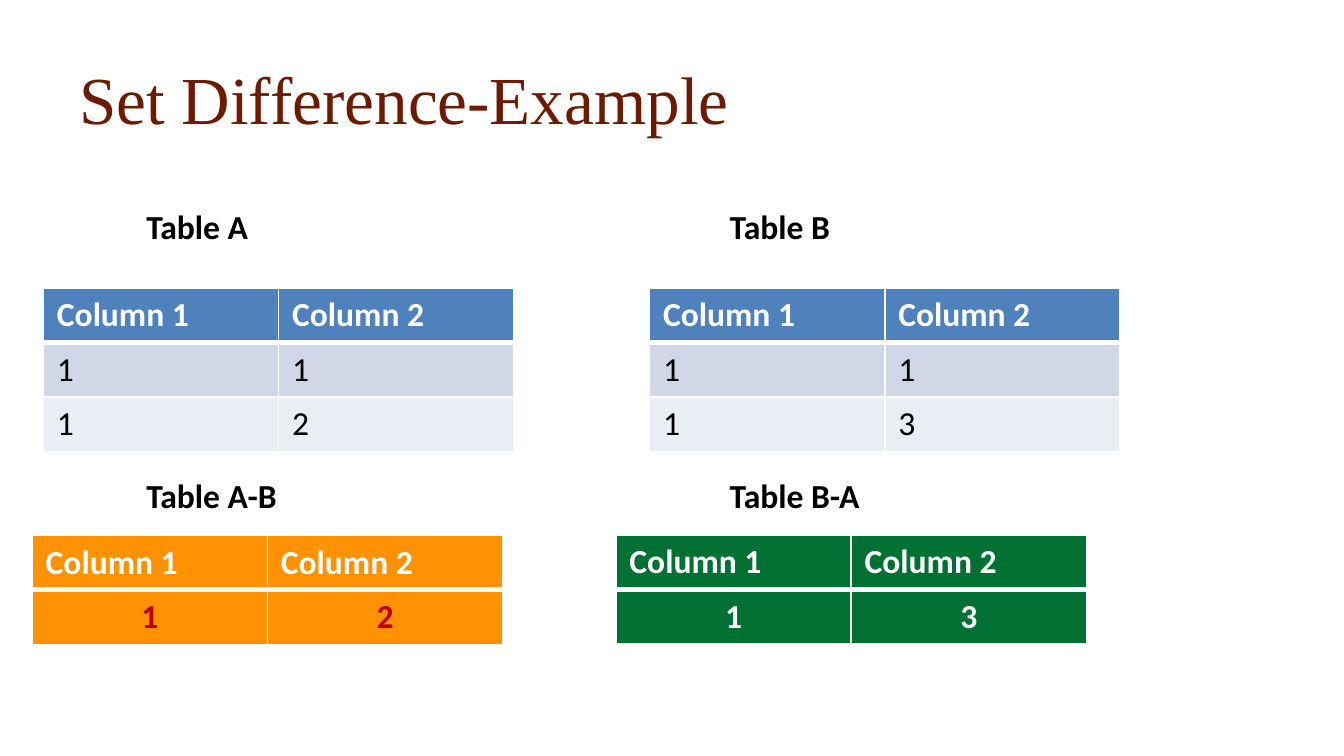
from lxml.etree import SubElement
from pptx import Presentation
from pptx.dml.color import RGBColor
from pptx.enum.text import MSO_ANCHOR, MSO_AUTO_SIZE, PP_ALIGN
from pptx.oxml.ns import qn
from pptx.util import Pt

WHITE = RGBColor(0xFF, 0xFF, 0xFF)
BLACK = RGBColor(0, 0, 0)
BROWN = RGBColor(0x6C, 0x1A, 0x00)
BLUE = RGBColor(0x4F, 0x81, 0xBD)
BAND_DARK = RGBColor(0xD0, 0xD8, 0xE8)
BAND_LIGHT = RGBColor(0xE9, 0xED, 0xF4)
ORANGE = RGBColor(0xFE, 0x92, 0x02)
RED = RGBColor(0xC0, 0, 0)
GREEN = RGBColor(0x00, 0x70, 0x33)

HEADINGS = ("Column 1", "Column 2")
COLUMN_WIDTH = 126
ROW_HEIGHT = 29.2
CAPTION_HEIGHT = 29


def write(frame, text, size=18, font="Calibri", color=BLACK, bold=False,
          align=PP_ALIGN.LEFT):
    para = frame.paragraphs[0]
    para.alignment = align
    span = para.add_run()
    span.text = text
    span.font.size = Pt(size)
    span.font.name = font
    span.font.bold = bold
    span.font.color.rgb = color


def set_borders(cell, **widths):
    """Draw white borders; widths maps L, R, T and B to points."""
    properties = cell._tc.get_or_add_tcPr()
    for index, side in enumerate("LRTB"):
        line = SubElement(properties, qn(f"a:ln{side}"), w=str(Pt(widths[side])))
        fill = SubElement(line, qn("a:solidFill"))
        SubElement(fill, qn("a:srgbClr"), val=str(WHITE))
        properties.insert(index, line)


def add_title(page, text, left, top, width, height):
    title = page.shapes.title
    title.left, title.top = Pt(left), Pt(top)
    title.width, title.height = Pt(width), Pt(height)
    title.text_frame.vertical_anchor = MSO_ANCHOR.MIDDLE
    write(title.text_frame, text, size=36, font="Times New Roman", color=BROWN)


def add_caption(page, text, left, top, width):
    box = page.shapes.add_textbox(Pt(left), Pt(top), Pt(width), Pt(CAPTION_HEIGHT))
    box.text_frame.word_wrap = False
    box.text_frame.auto_size = MSO_AUTO_SIZE.SHAPE_TO_FIT_TEXT
    write(box.text_frame, text, bold=True)


def add_relation(page, left, top, rows, header_fill, body_fills, **body_format):
    """Add a table with the shared headings; body_format styles its values."""
    count = len(rows) + 1
    frame = page.shapes.add_table(
        count, len(HEADINGS), Pt(left), Pt(top),
        Pt(COLUMN_WIDTH * len(HEADINGS)), Pt(ROW_HEIGHT * count))
    table = frame.table
    for column in table.columns:
        column.width = Pt(COLUMN_WIDTH)
    fills = (header_fill, *body_fills)
    for r, (values, fill) in enumerate(zip((HEADINGS, *rows), fills)):
        table.rows[r].height = Pt(ROW_HEIGHT)
        text_format = body_format if r else {"color": WHITE, "bold": True}
        for c, value in enumerate(values):
            cell = table.cell(r, c)
            cell.fill.solid()
            cell.fill.fore_color.rgb = fill
            write(cell.text_frame, value, **text_format)
            set_borders(cell, L=1, R=1, T=3 if r == 1 else 1, B=1 if r else 3)


def build_slide(deck):
    page = deck.slides.add_slide(deck.slide_layouts[5])
    add_title(page, "Set Difference-Example", 35.3, 22.3, 649.4, 60.5)

    captions = (
        ("Table A", 71.3, 106.6, 73.4), ("Table B", 383.8, 106.6, 72.7),
        ("Table A-B", 71.3, 250.6, 89.3), ("Table B-A", 383.8, 250.6, 85),
    )
    for caption in captions:
        add_caption(page, *caption)

    bands = (BAND_DARK, BAND_LIGHT)
    add_relation(page, 23.3, 154.4, (("1", "1"), ("1", "2")), BLUE, bands)
    add_relation(page, 348, 154.4, (("1", "1"), ("1", "3")), BLUE, bands)

    result = {"bold": True, "align": PP_ALIGN.CENTER}
    add_relation(page, 17.3, 286.8, (("1", "2"),), ORANGE, (ORANGE,),
                 color=RED, **result)
    add_relation(page, 330, 286.6, (("1", "3"),), GREEN, (GREEN,),
                 color=WHITE, **result)


def main():
    deck = Presentation()
    deck.slide_width, deck.slide_height = Pt(720), Pt(405)
    build_slide(deck)
    deck.save("out.pptx")


if __name__ == "__main__":
    main()
